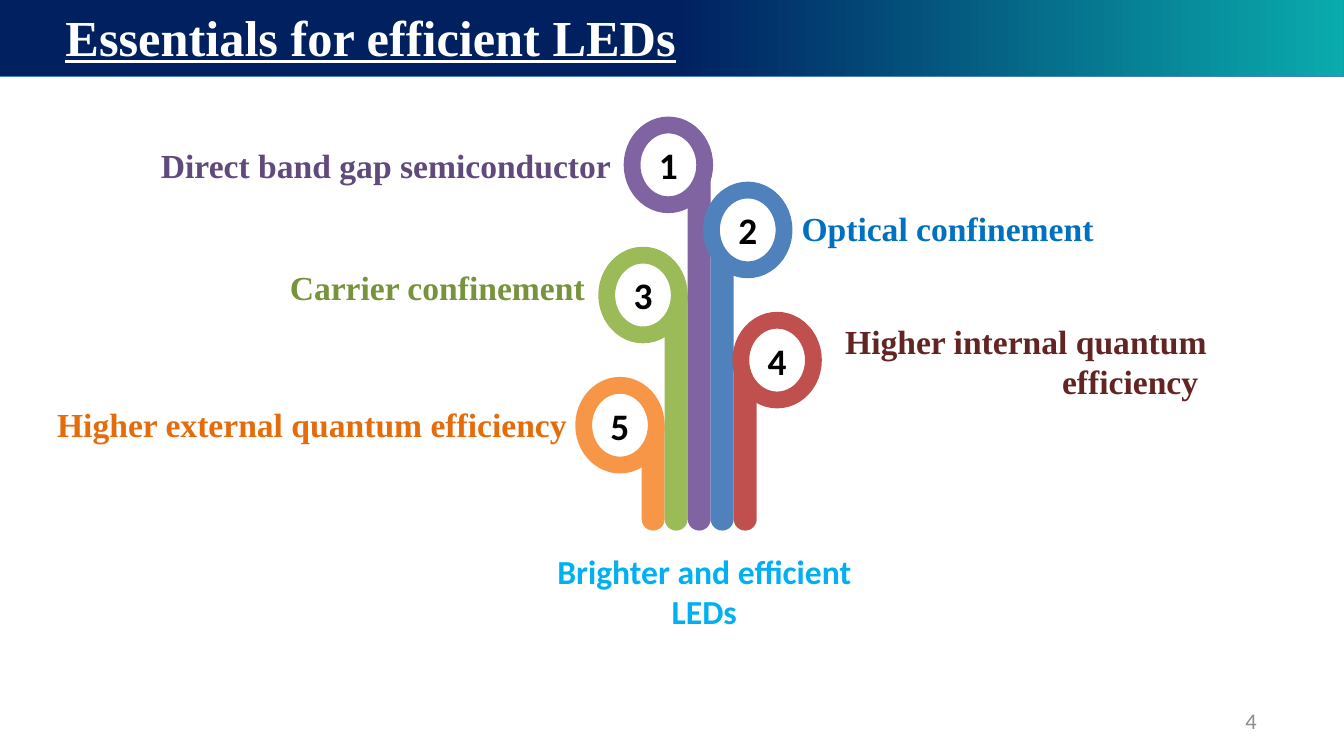
from pptx import Presentation
from pptx.dml.color import RGBColor
from pptx.enum.shapes import MSO_SHAPE
from pptx.enum.text import MSO_ANCHOR, MSO_AUTO_SIZE, PP_ALIGN
from pptx.util import Cm, Pt

WHITE = RGBColor(0xFF, 0xFF, 0xFF)
BLACK = RGBColor(0x00, 0x00, 0x00)
GREY = RGBColor(0x8C, 0x8C, 0x8C)
NAVY = RGBColor(0x00, 0x20, 0x60)
TEAL = RGBColor(0x0A, 0xAB, 0xAD)
BANNER_EDGE = RGBColor(0x4B, 0x7E, 0xBC)
SKY = RGBColor(0x00, 0xB0, 0xF0)
ORANGE = RGBColor(0xF7, 0x96, 0x46)
GREEN = RGBColor(0x9B, 0xBB, 0x59)
PURPLE = RGBColor(0x80, 0x64, 0xA2)
BLUE = RGBColor(0x4F, 0x81, 0xBD)
RED = RGBColor(0xC0, 0x50, 0x4D)
DARK_ORANGE = RGBColor(0xE4, 0x6C, 0x0A)
DARK_GREEN = RGBColor(0x77, 0x93, 0x3C)
DARK_PURPLE = RGBColor(0x60, 0x4A, 0x7B)
DARK_BLUE = RGBColor(0x00, 0x70, 0xC0)
DARK_RED = RGBColor(0x63, 0x25, 0x23)


def write(shape, text, font="Times New Roman", size=24, color=BLACK, bold=True,
          underline=None, align=PP_ALIGN.LEFT, anchor=MSO_ANCHOR.TOP,
          inset=(0.25, 0.13), wrap=True):
    frame = shape.text_frame
    frame.auto_size = MSO_AUTO_SIZE.NONE
    frame.word_wrap = wrap
    frame.vertical_anchor = anchor
    frame.margin_left = frame.margin_right = Cm(inset[0])
    frame.margin_top = frame.margin_bottom = Cm(inset[1])
    para = frame.paragraphs[0]
    para.alignment = align
    span = para.add_run()
    span.text = text
    span.font.name = font
    span.font.size = Pt(size)
    span.font.color.rgb = color
    span.font.bold = bold
    span.font.underline = underline


deck = Presentation()
deck.slide_width = Cm(33.87)
deck.slide_height = Cm(19.05)
page = deck.slides.add_slide(deck.slide_layouts[5])

banner = page.shapes.add_shape(MSO_SHAPE.RECTANGLE, 0, 0, deck.slide_width, Cm(1.93))
banner.shadow.inherit = False
banner.fill.gradient()
banner.fill.gradient_angle = 0
for stop, position, color in zip(banner.fill.gradient_stops, (0.5, 1), (NAVY, TEAL)):
    stop.position = position
    stop.color.rgb = color
banner.line.color.rgb = BANNER_EDGE
banner.line.width = Pt(0.75)

title = page.shapes.title
banner.element.addnext(title.element)
title.left, title.top, title.width, title.height = Cm(1.32), Cm(0.23), Cm(21.44), Cm(1.35)
write(title, "Essentials for efficient LEDs", size=36, color=WHITE, underline=True,
      anchor=MSO_ANCHOR.MIDDLE, inset=(0.33, 0.18))

STEM_LEFT, STEM_WIDTH, STEM_BOTTOM = 16.17, 0.58, 13.37
RING_TOP, RING_STEP, RING_WIDTH, RING_HEIGHT = 3.15, 1.64, 1.83, 2.01
branches = [
    (5, 14.71, ORANGE),
    (3, 15.29, GREEN),
    (1, 15.93, PURPLE),
    (2, 17.93, BLUE),
    (4, 18.67, RED),
]
for column, (number, ring_left, color) in enumerate(branches):
    ring_top = RING_TOP + RING_STEP * (number - 1)
    stem_top = ring_top + RING_HEIGHT / 2
    stem = page.shapes.add_shape(
        MSO_SHAPE.ROUND_2_SAME_RECTANGLE, Cm(STEM_LEFT + STEM_WIDTH * column),
        Cm(stem_top), Cm(STEM_WIDTH), Cm(STEM_BOTTOM - stem_top))
    stem.rotation = 180
    stem.adjustments[0] = 0.5
    stem.adjustments[1] = 0
    stem.shadow.inherit = False
    stem.fill.solid()
    stem.fill.fore_color.rgb = color
    stem.line.fill.background()

    ring = page.shapes.add_shape(MSO_SHAPE.OVAL, Cm(ring_left), Cm(ring_top),
                                 Cm(RING_WIDTH), Cm(RING_HEIGHT))
    ring.shadow.inherit = False
    ring.fill.solid()
    ring.fill.fore_color.rgb = WHITE
    ring.line.color.rgb = color
    ring.line.width = Pt(12)
    write(ring, str(number), font="Calibri", size=26.7, align=PP_ALIGN.CENTER,
          anchor=MSO_ANCHOR.MIDDLE)

RIGHT = {"align": PP_ALIGN.RIGHT}
captions = [
    ("Direct band gap semiconductor", 3.61, 3.51, 12.04, 1.27, DARK_PURPLE, RIGHT),
    ("Optical confinement", 17.73, 5.11, 10.08, 1.27, DARK_BLUE, RIGHT),
    ("Carrier confinement", 4.78, 6.6, 10.21, 1.27, DARK_GREEN, RIGHT),
    ("Higher internal quantum efficiency ", 18.53, 7.95, 12.13, 2.31, DARK_RED, RIGHT),
    ("Higher external quantum efficiency", 1.19, 10.06, 13.69, 1.27, DARK_ORANGE,
     {"wrap": False}),
    ("Brighter and efficient LEDs", 13.61, 13.79, 8.28, 2.24, SKY,
     {"font": "Calibri", "align": PP_ALIGN.CENTER, "inset": (0.18, 0.08)}),
    ("4", 24.28, 17.65, 7.9, 1.02, GREY,
     {"font": "Calibri", "size": 16, "bold": False, "align": PP_ALIGN.RIGHT,
      "anchor": MSO_ANCHOR.MIDDLE, "inset": (0.51, 0.25)}),
]
for text, left, top, width, height, color, style in captions:
    box = page.shapes.add_textbox(Cm(left), Cm(top), Cm(width), Cm(height))
    write(box, text, color=color, **style)

deck.save("out.pptx")
